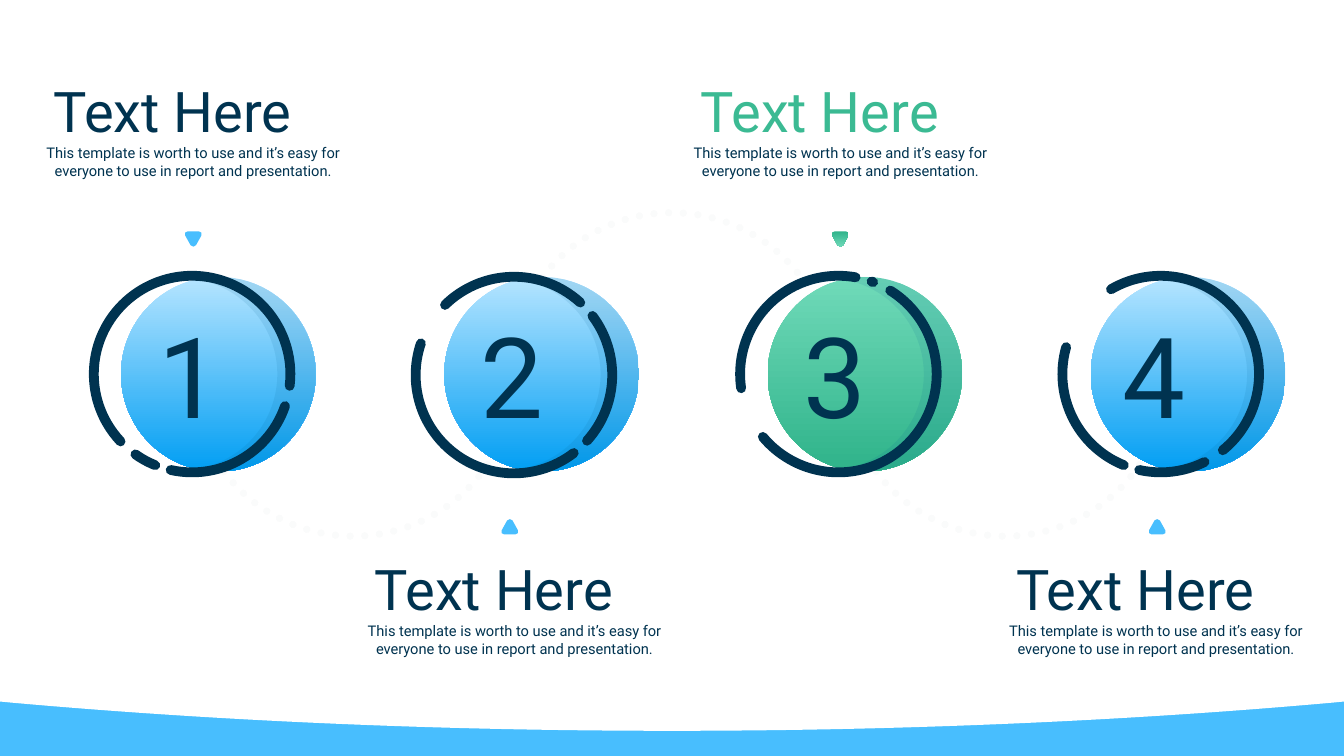
import pptx
import pptx.dml.color
import pptx.enum.dml
import pptx.enum.shapes
import pptx.enum.text
import pptx.oxml
import pptx.oxml.ns
import pptx.util

Pt = pptx.util.Pt
KINDS = pptx.enum.shapes.MSO_SHAPE
NAVY, SKY, MINT, WHITE = "003350", "48BEFE", "3BBA93", "FFFFFF"
BLUES, GREENS = ("B6E5FF", "019EF3"), ("70DAB9", "2FB38A")
NOTE = "This template is worth to use and it’s easy for everyone to use in report and presentation."
DISC, RING, PITCH = 139, 140.4, 230.9
WAVE = [(0, 0), (960, 0), (960, 501.1), (951.8, 501.9),
        (807.1, 514.8, 647.3, 522, 480, 522),
        (312.7, 522, 152.9, 514.8, 8.2, 501.9), (0, 501.1)]
EDGE = [(69.5, 0), (107.9, 0, 139, 31.1, 139, 69.5),
        (139, 107.9, 107.9, 139, 69.5, 139),
        (67.2, 139, 64.9, 138.9, 62.6, 138.7), (56.2, 137.6), (56.3, 136.8),
        (88, 130.3, 111.6, 102.6, 111.6, 69.5),
        (111.6, 36.4, 88, 8.7, 56.3, 2.2), (56.2, 1.4), (62.6, 0.3),
        (64.9, 0.1, 67.2, 0, 69.5, 0)]
TIP = [(4.5, 9.9), (0.6, 2.9), (0, 1.4, 0.7, 0, 2.3, 0), (10.5, 0),
       (12.1, 0, 12.8, 1.4, 12.2, 2.9), (8.3, 9.9),
       (7.5, 11.2, 5.3, 11.2, 4.5, 9.9)]
DOTS = [(136.8, 181.1, False), (364.3, 176.4, True), (602.6, 176.4, False)]
STEPS = [
    {"ring": (67, 197), "num": 105.9, "cap": (23.2, 51.1), "tip": (131.7, 165.3),
     "arcs": [(136.7, 6.9), (19, 102.6), (112, 125.2)]},
    {"ring": (296.9, 197.7), "num": 336.2, "cap": (252.7, 392.4), "tip": (357.8, 370.5),
     "arcs": [(225.5, 312.5), (323, 42), (52.5, 198.8)]},
    {"ring": (528.7, 197), "num": 566.6, "cap": (485.5, 51.1), "tip": (593.9, 165.3),
     "arcs": [(289.7, 290.7), (301.8, 140.3), (171.7, 280.1)]},
    {"ring": (758.9, 197), "num": 794.9, "cap": (710.9, 392.4), "tip": (820.2, 370.5),
     "arcs": [(239.6, 50.8), (63.5, 102.6), (112, 195.9)]},
]


def tint(code):
    """Turn a hex string into a colour."""
    return pptx.dml.color.RGBColor.from_string(code)


def put(item, vals):
    """Set attributes from a dict of format values."""
    for name, val in vals.items():
        setattr(item, name, val)


def fade(shape, part):
    """Make the only colour of a shape see-through, in percent."""
    node = next(shape._element.spPr.iter(pptx.oxml.ns.qn("a:srgbClr")))
    alpha = pptx.oxml.parse_xml(f'<a:alpha {pptx.oxml.ns.nsdecls("a")} val="{part * 1000}"/>')
    node.append(alpha)


def paint(shape, hue):
    """Fill a shape with one colour or a pair running downward."""
    shape.shadow.inherit = False
    shape.line.fill.background()
    if isinstance(hue, str):
        shape.fill.solid()
        shape.fill.fore_color.rgb = tint(hue)
        return
    shape.fill.gradient()
    shape.fill.gradient_angle = 270
    for stop, code in zip(shape.fill.gradient_stops, hue):
        stop.color.rgb = tint(code)


def bend(shape, segs):
    """Join each three line steps of a curved segment into one cubic curve."""
    steps = iter(shape._element.spPr.findall(".//" + pptx.oxml.ns.qn("a:lnTo")))
    for seg in segs:
        node = next(steps)
        if len(seg) == 6:
            node.tag = pptx.oxml.ns.qn("a:cubicBezTo")
            for extra in (next(steps), next(steps)):
                node.append(extra[0])
                extra.getparent().remove(extra)


def form(slide, segs, hue, left=0, top=0):
    """Draw a closed outline of lines and curves at the given corner."""
    spots = [(Pt(left + seg[i]), Pt(top + seg[i + 1]))
             for seg in segs for i in range(0, len(seg), 2)]
    pen = slide.shapes.build_freeform(*spots[0])
    pen.add_line_segments(spots[1:], close=True)
    shape = pen.convert_to_shape()
    bend(shape, segs[1:])
    paint(shape, hue)
    return shape


def flip(segs, high):
    """Turn an outline of the given height upside down."""
    return [tuple(high - v if i % 2 else v for i, v in enumerate(seg)) for seg in segs]


def arc(slide, left, top, size, turn, width):
    """Draw an open round-capped arc between two angles in degrees."""
    shape = slide.shapes.add_shape(KINDS.ARC, Pt(left), Pt(top), Pt(size), Pt(size))
    shape.shadow.inherit = False
    shape.fill.background()
    shape.line.color.rgb = tint(NAVY)
    shape.line.width = Pt(width)
    shape._element.spPr.find(pptx.oxml.ns.qn("a:ln")).set("cap", "rnd")
    for i, deg in enumerate(turn):
        shape.adjustments[i] = deg * 0.6
    return shape


def label(slide, box, text, size, hue=NAVY, wrap=False):
    """Write one paragraph in a box, centred when it wraps."""
    frame = slide.shapes.add_textbox(*map(Pt, box)).text_frame
    put(frame, {"word_wrap": wrap, "text": text,
                "auto_size": pptx.enum.text.MSO_AUTO_SIZE.SHAPE_TO_FIT_TEXT})
    para = frame.paragraphs[0]
    align = pptx.enum.text.PP_ALIGN
    para.alignment = align.CENTER if wrap else align.LEFT
    put(para.font, {"name": "Roboto", "size": Pt(size)})
    para.font.color.rgb = tint(hue)


def trail(slide):
    """Draw the faint dotted path between the steps."""
    for left, span, over in DOTS:
        shape = arc(slide, left, 151.9, 231.1, (2.7, span), 5.25)
        shape.line.dash_style = pptx.enum.dml.MSO_LINE.ROUND_DOT
        fade(shape, 2)
        if over:
            shape._element.spPr.xfrm.set("flipV", "1")


def badge(slide, left, top, num, step, hues):
    """Draw a disc with its shaded edge, ring and number."""
    disc = slide.shapes.add_shape(KINDS.OVAL, Pt(left), Pt(top), Pt(DISC), Pt(DISC))
    paint(disc, hues)
    fade(form(slide, EDGE, "015E91", left, top), 10)
    for turn in step["arcs"]:
        arc(slide, *step["ring"], RING, turn, 7)
    label(slide, (step["num"], top + 17.6, 61.9, 104.4), str(num), 80)


def note(slide, left, top, hue):
    """Place a heading with its text below."""
    label(slide, (left + 8, top, 207.4, 55.4), "Text Here", 40, hue)
    label(slide, (left, top + 48.3, 229.7, 45.4), NOTE, 10.5, wrap=True)


def main():
    """Build the slide and save it."""
    deck = pptx.Presentation()
    put(deck, {"slide_width": Pt(960), "slide_height": Pt(540)})
    slide = deck.slides.add_slide(deck.slide_layouts[6])
    slide.background.fill.solid()
    slide.background.fill.fore_color.rgb = tint(SKY)
    form(slide, WAVE, WHITE)
    trail(slide)
    for i, step in enumerate(STEPS):
        green = i == 2
        badge(slide, 86.5 + i * PITCH, 197.8, i + 1, step, GREENS if green else BLUES)
        note(slide, *step["cap"], MINT if green else NAVY)
        tip = flip(TIP, 11.2) if i % 2 else TIP
        form(slide, tip, GREENS[::-1] if green else SKY, *step["tip"])
    deck.save("out.pptx")


if __name__ == "__main__":
    main()
